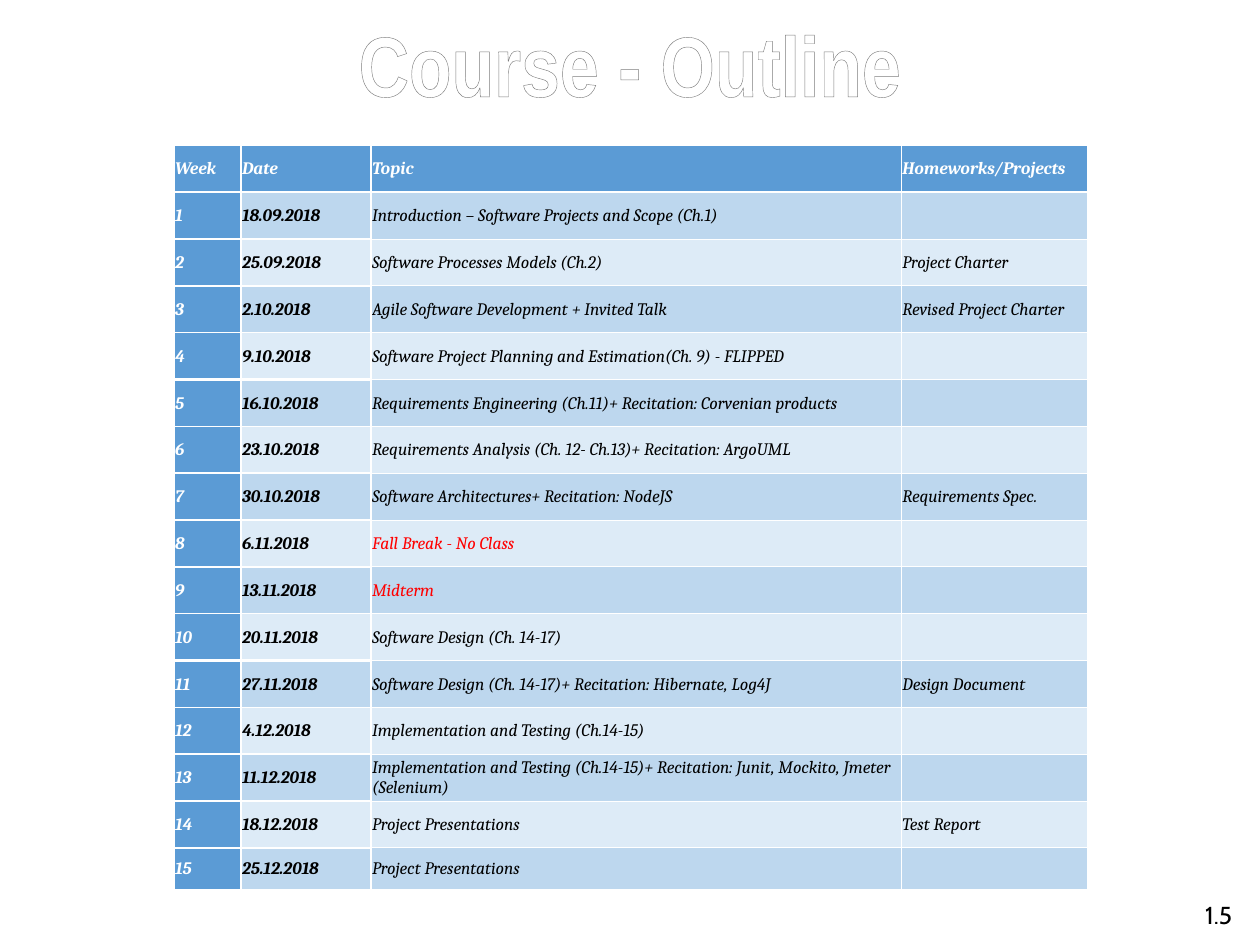
import pptx
import pptx.dml.color
import pptx.enum.text
import pptx.oxml
import pptx.oxml.ns
import pptx.util

Cm = pptx.util.Cm
Pt = pptx.util.Pt
COLORS = {
    "white": "FFFFFF", "black": "000000", "red": "FF0000", "outline": "7D7D7D",
    "sheen": "7F7F7F", "key": "5B9BD5", "odd": "BDD7EE", "even": "DDEBF7",
}
HEADINGS = ("Week", "Date", "Topic", "Homeworks/Projects")
COLUMN_WIDTHS = (1.35, 2.62, 10.69, 3.76)
LAST_ROW_HEIGHT = 0.84
WEEKS = [
    ("18.09.2018", "Introduction – Software Projects and Scope (Ch.1)", ""),
    ("25.09.2018", "Software Processes Models (Ch.2)", "Project Charter"),
    ("2.10.2018", "Agile Software Development + Invited Talk", "Revised Project Charter"),
    ("9.10.2018", "Software Project Planning and Estimation(Ch. 9) - FLIPPED", ""),
    ("16.10.2018", "Requirements Engineering (Ch.11)+ Recitation: Corvenian products", ""),
    ("23.10.2018", "Requirements Analysis (Ch. 12- Ch.13)+ Recitation: ArgoUML", ""),
    ("30.10.2018", "Software Architectures+ Recitation: NodeJS", "Requirements Spec."),
    ("6.11.2018", "Fall Break - No Class", ""),
    ("13.11.2018", "Midterm", ""),
    ("20.11.2018", "Software Design (Ch. 14-17)", ""),
    ("27.11.2018", "Software Design (Ch. 14-17)+ Recitation: Hibernate, Log4J", "Design Document"),
    ("4.12.2018", "Implementation and Testing (Ch.14-15)", ""),
    ("11.12.2018", "Implementation and Testing (Ch.14-15)+ Recitation: Junit, Mockito, Jmeter (Selenium)", ""),
    ("18.12.2018", "Project Presentations", "Test Report"),
    ("25.12.2018", "Project Presentations", ""),
]
NO_CLASS_TOPICS = {"Fall Break - No Class", "Midterm"}


def apply(target, formats):
    """Set every attribute in formats on target."""
    for name, value in formats.items():
        setattr(target, name, value)


def rgb(color):
    """Return the named colour."""
    return pptx.dml.color.RGBColor.from_string(COLORS[color])


def write(paragraph, text, color, **formats):
    """Add a formatted run to the paragraph and return it."""
    run = paragraph.add_run()
    run.text = text
    apply(run.font, formats)
    run.font.color.rgb = rgb(color)
    return run


def element(xml):
    """Parse a DrawingML fragment that contains one %s for its namespace."""
    return pptx.oxml.parse_xml(xml % pptx.oxml.ns.nsdecls("a"))


def add_title(slide, left, top, width, height):
    """Place the outlined title with its gradient fill."""
    title = slide.shapes.title
    apply(title, {"left": Cm(left), "top": Cm(top), "width": Cm(width), "height": Cm(height)})
    apply(title.text_frame, {
        "vertical_anchor": pptx.enum.text.MSO_ANCHOR.MIDDLE,
        "auto_size": pptx.enum.text.MSO_AUTO_SIZE.NONE,
        "margin_top": 0, "margin_bottom": 0,
    })
    paragraph = title.text_frame.paragraphs[0]
    paragraph.alignment = pptx.enum.text.PP_ALIGN.CENTER
    heading = write(paragraph, "Course - Outline", "white",
                    name="Arial Narrow", size=Pt(48.6), bold=True)
    properties = heading.font._element
    properties.remove(properties.find(pptx.oxml.ns.qn("a:solidFill")))
    stops = ((0, "white"), (9, "white"), (50, "sheen"), (79, "white"), (100, "white"))
    stop_xml = "".join(
        f'<a:gs pos="{position * 1000}"><a:srgbClr val="{COLORS[color]}"/></a:gs>'
        for position, color in stops)
    properties.insert(0, element(
        f'<a:gradFill %s><a:gsLst>{stop_xml}</a:gsLst><a:lin ang="5400000"/></a:gradFill>'))
    properties.insert(0, element(
        f'<a:ln %s w="{Pt(0.83)}"><a:solidFill><a:srgbClr val="{COLORS["outline"]}"/>'
        '</a:solidFill></a:ln>'))


def border_widths(week, column):
    """Return the left, right, top and bottom border widths of a cell in points."""
    if week == 0:
        return 1, 1, 1, 1.5
    if column < 2:
        return (1, 1, 1.5, 1) if week % 2 else (1, 1, 1, 1.5)
    return 0.5, 0.5, 1.5 if week == 1 else 0.5, 0.5


def format_cell(cell, text, week, column):
    """Fill one schedule cell; week 0 is the heading row."""
    is_key = week == 0 or column == 0
    apply(cell, {
        "margin_left": Cm(0.02), "margin_right": Cm(0.02), "margin_top": Cm(0.02),
        "margin_bottom": 0, "vertical_anchor": pptx.enum.text.MSO_ANCHOR.MIDDLE,
    })
    for side, width in zip("LRTB", border_widths(week, column)):
        cell._tc.get_or_add_tcPr().append(element(
            f'<a:ln{side} %s w="{Pt(width)}"><a:solidFill>'
            f'<a:srgbClr val="{COLORS["white"]}"/></a:solidFill></a:ln{side}>'))
    cell.fill.solid()
    cell.fill.fore_color.rgb = rgb("key" if is_key else "odd" if week % 2 else "even")
    if text:
        color = "white" if is_key else "red" if text in NO_CLASS_TOPICS else "black"
        write(cell.text_frame.paragraphs[0], text, color, name="Cambria",
              size=Pt(10), italic=True, bold=is_key or column == 1)


def add_schedule(slide, left, top, width, height):
    """Place the table of weeks within the box."""
    rows = [HEADINGS] + [(str(week), *entry) for week, entry in enumerate(WEEKS, 1)]
    schedule = slide.shapes.add_table(
        len(rows), len(HEADINGS), Cm(left), Cm(top), Cm(width), Cm(height)).table
    for column, column_width in zip(schedule.columns, COLUMN_WIDTHS):
        column.width = Cm(column_width)
    for row in schedule.rows:
        row.height = Cm((height - LAST_ROW_HEIGHT) / len(WEEKS))
    schedule.rows[len(WEEKS)].height = Cm(LAST_ROW_HEIGHT)
    for week, entries in enumerate(rows):
        for column, text in enumerate(entries):
            format_cell(schedule.cell(week, column), text, week, column)


def add_page_number(slide, left, top, width, height):
    """Place the chapter and page number at the right of the box."""
    page = slide.shapes.add_textbox(Cm(left), Cm(top), Cm(width), Cm(height)).text_frame
    apply(page, {"word_wrap": True, "vertical_anchor": pptx.enum.text.MSO_ANCHOR.MIDDLE})
    page.paragraphs[0].alignment = pptx.enum.text.PP_ALIGN.RIGHT
    write(page.paragraphs[0], "1.5", "black", name="Cabin", size=Pt(14))


def main():
    """Build the course outline slide."""
    deck = pptx.Presentation()
    apply(deck, {"slide_width": Cm(25.4), "slide_height": Cm(19.05)})
    slide = deck.slides.add_slide(deck.slide_layouts.get_by_name("Title Only"))
    add_page_number(slide, 20.7, 17.93, 4.39, 1.02)
    add_title(slide, 0, 0.48, 25.4, 1.57)
    add_schedule(slide, 3.51, 2.93, sum(COLUMN_WIDTHS), 15)
    deck.save("out.pptx")


if __name__ == "__main__":
    main()
